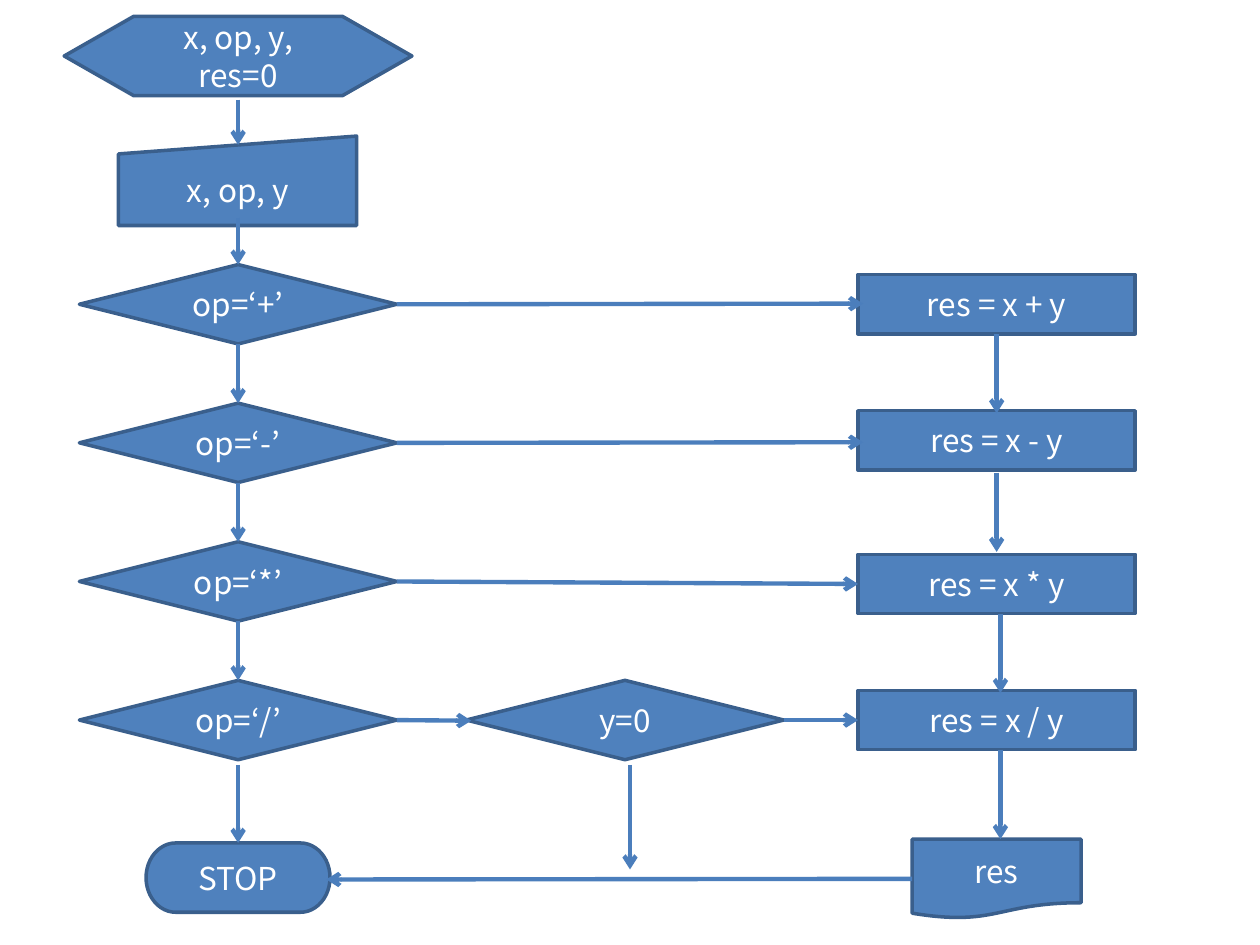
from typing import NamedTuple, Union

from lxml import etree
from pptx import Presentation
from pptx.dml.color import RGBColor
from pptx.enum import shapes, text
from pptx.oxml.ns import qn
from pptx.util import Inches, Pt

FONT = "Noto Sans CJK KR"
FILL, OUTLINE, ARROW, WHITE = "4F81BD", "3A5F8C", "4B7EBC", "FFFFFF"
TOP, LEFT, BOTTOM, RIGHT = range(4)
KIND = shapes.MSO_SHAPE


class Step(NamedTuple):
    key: str
    label: str
    kind: KIND
    left: float
    top: float
    width: float
    height: float


class Side(NamedTuple):
    """The middle of one side of a step."""
    key: str
    site: int


class Point(NamedTuple):
    x: float
    y: float


End = Union[Side, Point]


class Flow(NamedTuple):
    begin: End
    end: End


TESTS = {"add": "+", "subtract": "-", "multiply": "*", "divide": "/"}
RESULT_TOPS = (2.18, 3.26, 4.4, 5.48)
TEST_TOP, TEST_PITCH = 2.1, 1.1
TEST_SIZE = (2.52, 0.63)

STEPS = [
    Step("start", "x, op, y, res=0", KIND.FLOWCHART_PREPARATION, 0.51, 0.13, 2.76, 0.63),
    Step("input", "x, op, y", KIND.FLOWCHART_MANUAL_INPUT, 0.94, 1.08, 1.89, 0.71),
    *(Step(f"is {name}", f"op=‘{sign}’", KIND.FLOWCHART_DECISION,
           0.63, TEST_TOP + row * TEST_PITCH, *TEST_SIZE)
      for row, (name, sign) in enumerate(TESTS.items())),
    *(Step(name, f"res = x {sign} y", KIND.FLOWCHART_PROCESS, 6.81, top, 2.2, 0.47)
      for (name, sign), top in zip(TESTS.items(), RESULT_TOPS)),
    Step("is zero", "y=0", KIND.FLOWCHART_DECISION, 3.7, 5.4, *TEST_SIZE),
    Step("output", "res", KIND.FLOWCHART_DOCUMENT, 7.24, 6.66, 1.34, 0.63),
    Step("stop", "STOP", KIND.FLOWCHART_TERMINATOR, 1.16, 6.69, 1.46, 0.55),
]

test_keys = [f"is {name}" for name in TESTS]

FLOWS = [
    # Down the left column
    Flow(Point(1.89, 0.79), Point(1.89, 1.15)),
    Flow(Point(1.89, 1.73), Side("is add", TOP)),
    *(Flow(Side(upper, BOTTOM), Side(lower, TOP))
      for upper, lower in zip(test_keys, test_keys[1:])),
    Flow(Point(1.89, 6.07), Side("stop", TOP)),
    # From the tests to the results
    Flow(Side("is add", RIGHT), Point(6.85, 2.41)),
    Flow(Side("is subtract", RIGHT), Point(6.85, 3.51)),
    Flow(Side("is multiply", RIGHT), Side("multiply", LEFT)),
    Flow(Side("is divide", RIGHT), Point(3.74, 5.72)),
    Flow(Side("is zero", RIGHT), Side("divide", LEFT)),
    Flow(Point(5, 6.07), Point(5, 6.9)),
    # Down the right column and back to the stop
    Flow(Side("add", BOTTOM), Point(7.91, 3.28)),
    Flow(Point(7.91, 3.75), Point(7.91, 4.38)),
    Flow(Point(7.94, 4.87), Point(7.94, 5.5)),
    Flow(Point(7.94, 5.95), Point(7.94, 6.66)),
    Flow(Side("output", LEFT), Point(2.59, 6.98)),
]


def color(value: str) -> RGBColor:
    return RGBColor.from_string(value)


def draw_step(slide, step: Step):
    shape = slide.shapes.add_shape(
        step.kind, *map(Inches, (step.left, step.top, step.width, step.height)))
    shape.shadow.inherit = False
    shape.fill.solid()
    shape.fill.fore_color.rgb = color(FILL)
    shape.line.color.rgb = color(OUTLINE)
    shape.line.width = Pt(2)
    frame = shape.text_frame
    frame.word_wrap = True
    frame.vertical_anchor = text.MSO_ANCHOR.MIDDLE
    paragraph = frame.paragraphs[0]
    paragraph.alignment = text.PP_ALIGN.CENTER
    run = paragraph.add_run()
    run.text = step.label
    for name, value in {"name": FONT, "size": Pt(18)}.items():
        setattr(run.font, name, value)
    run.font.color.rgb = color(WHITE)
    return shape


def draw_flow(slide, flow: Flow, drawn: dict) -> None:
    corners = [Inches(value) for end in flow
               for value in (end if isinstance(end, Point) else (0, 0))]
    arrow = slide.shapes.add_connector(shapes.MSO_CONNECTOR.STRAIGHT, *corners)
    for end, connect in zip(flow, (arrow.begin_connect, arrow.end_connect)):
        if isinstance(end, Side):
            connect(drawn[end.key], end.site)
    arrow.line.color.rgb = color(ARROW)
    arrow.line.width = Pt(2.5)
    etree.SubElement(arrow.line._get_or_add_ln(), qn("a:tailEnd"), type="arrow")
    etree.SubElement(arrow._element.spPr, qn("a:effectLst"))


def main() -> None:
    deck = Presentation()
    deck.slide_width, deck.slide_height = Inches(10), Inches(7.5)
    slide = deck.slides.add_slide(deck.slide_layouts[6])
    drawn = {step.key: draw_step(slide, step) for step in STEPS}
    for flow in FLOWS:
        draw_flow(slide, flow, drawn)
    deck.save("out.pptx")


if __name__ == "__main__":
    main()
